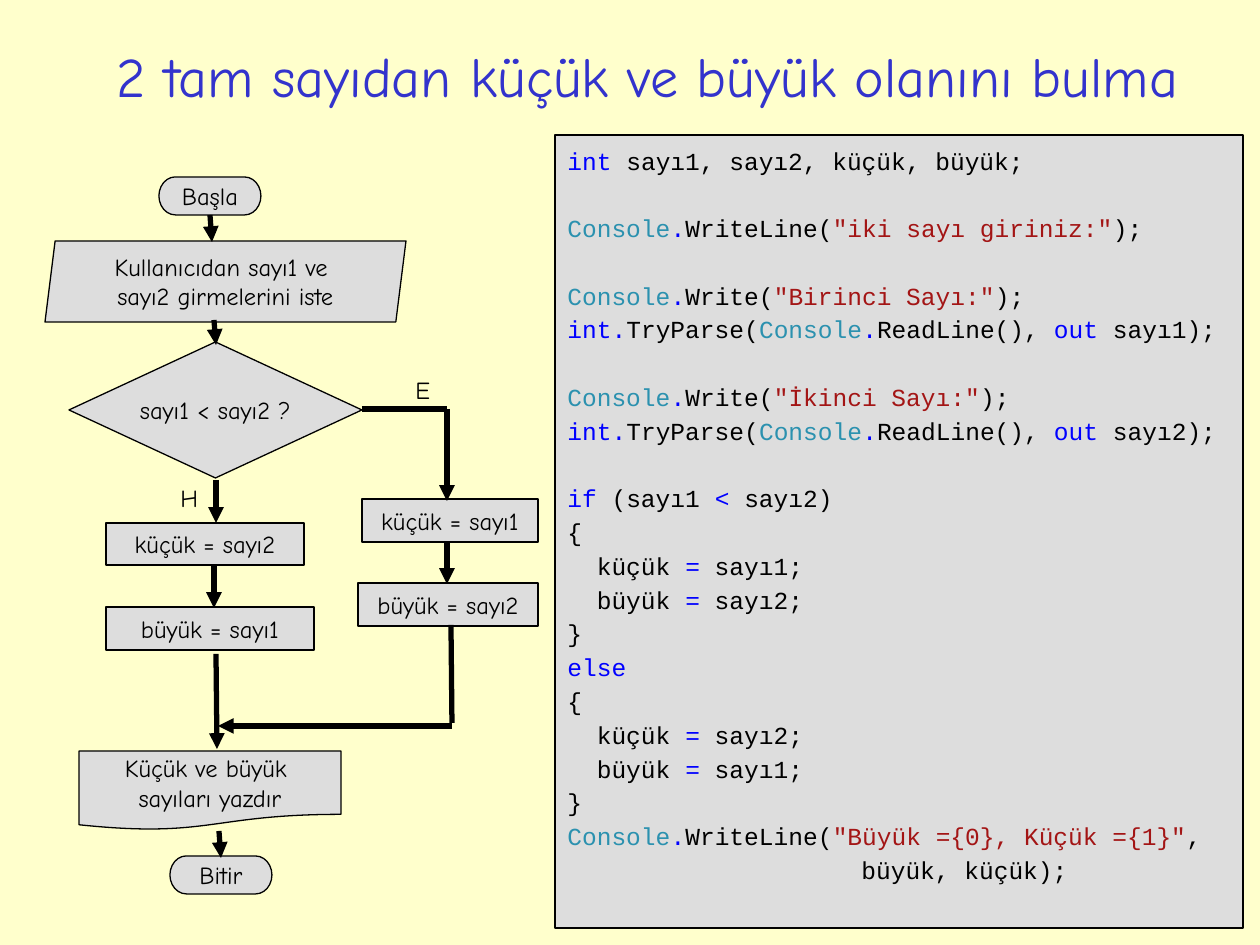
from lxml import etree
from pptx import Presentation
from pptx import util as u
from pptx.dml.color import RGBColor
from pptx.enum import shapes, text
from pptx.oxml.ns import qn

PX = 914400 // 126
COLORS = {"bg": "FFFFCC", "title": "3333CC", "box": "DDDDDD", "black": "000000",
          "keyword": "0000FF", "type": "2B91AF", "string": "A31515"}
KINDS = {"k": "keyword", "t": "type", "s": "string", "p": "black"}
RGB = {name: RGBColor.from_string(value) for name, value in COLORS.items()}
SHAPE = shapes.MSO_SHAPE
FONT = "Comic Neue"


def set_text(sp, lines, align, anchor, size=14, color="black"):
    tf = sp.text_frame
    tf.word_wrap = False
    tf.vertical_anchor = anchor
    tf.text = "\n".join(lines)
    for p in tf.paragraphs:
        p.alignment = align
        p.font.name = FONT
        p.font.size = u.Pt(size)
        p.font.color.rgb = RGB[color]


def add_box(kind, *box):
    sp = s.shapes.add_shape(kind, *[v * PX for v in box])
    sp.shadow.inherit = False
    sp.fill.solid()
    sp.fill.fore_color.rgb = RGB["box"]
    sp.line.color.rgb = RGB["black"]
    sp.line.width = u.Pt(0.75)
    return sp


prs = Presentation()
prs.slide_width = u.Inches(10)
prs.slide_height = u.Inches(7.5)
s = prs.slides.add_slide(prs.slide_layouts[5])
s.background.fill.solid()
s.background.fill.fore_color.rgb = RGB["bg"]

title = s.shapes.title
title.left, title.top, title.width, title.height = [v * PX for v in (35, 37, 1225, 76)]
set_text(title, ["2 tam sayıdan küçük ve büyük olanını bulma"],
         text.PP_ALIGN.CENTER, text.MSO_ANCHOR.MIDDLE, 32, "title")

CODE = [
    (0, 0, ["kint", "p sayı1, sayı2, küçük, büyük;"]),
    (1, 0, ["tConsole", "k.", "pWriteLine(", 's"iki sayı giriniz:"', "p);"]),
    (1, 0, ["tConsole", "k.", "pWrite(", 's"Birinci Sayı:"', "p);"]),
    (0, 0, ["kint.", "pTryParse(", "tConsole", "k.", "pReadLine(), ", "kout", "p sayı1);"]),
    (1, 0, ["tConsole", "k.", "pWrite(", 's"İkinci Sayı:"', "p);"]),
    (0, 0, ["kint.", "pTryParse(", "tConsole", "k.", "pReadLine(), ", "kout", "p sayı2);"]),
    (1, 0, ["kif", "p (sayı1 ", "k<", "p sayı2)"]),
    (0, 0, ["p{"]),
    (0, 2, ["pküçük ", "k=", "p sayı1;"]),
    (0, 2, ["pbüyük ", "k=", "p sayı2;"]),
    (0, 0, ["p}"]),
    (0, 0, ["kelse"]),
    (0, 0, ["p{"]),
    (0, 2, ["pküçük ", "k=", "p sayı2;"]),
    (0, 2, ["pbüyük ", "k=", "p sayı1;"]),
    (0, 0, ["p}"]),
    (0, 0, ["tConsole", "k.", "pWriteLine(", 's"Büyük ={0}, Küçük ={1}"', "p,"]),
    (0, 20, ["pbüyük, küçük);"]),
]
CHAR_WIDTH = u.Pt(8.4)
LINE_HEIGHT = u.Pt(19.3)

code_box = add_box(SHAPE.RECTANGLE, 555, 135, 688, 793)
tf = code_box.text_frame
tf.word_wrap = True
tf.vertical_anchor = text.MSO_ANCHOR.TOP
for i, (gap, indent, tokens) in enumerate(CODE):
    p = tf.add_paragraph() if i else tf.paragraphs[0]
    p.alignment = text.PP_ALIGN.LEFT
    p.line_spacing = 1.15
    p.space_before = gap * LINE_HEIGHT
    p.font.name = "Courier New"
    p.font.size = u.Pt(14)
    if indent:
        p._p.get_or_add_pPr().set("marL", str(indent * CHAR_WIDTH))
    for token in tokens:
        r = p.add_run()
        r.text = token[1:]
        r.font.color.rgb = RGB[KINDS[token[0]]]

STEPS = [
    (SHAPE.FLOWCHART_TERMINATOR, (159, 177, 102, 38), ["Başla"]),
    (SHAPE.PARALLELOGRAM, (45, 241, 361, 81), ["Kullanıcıdan sayı1 ve ", "sayı2 girmelerini iste"]),
    (SHAPE.FLOWCHART_DECISION, (69, 342, 293, 136), ["sayı1 < sayı2 ?"]),
    (SHAPE.RECTANGLE, (362, 499, 176, 43), ["küçük = sayı1"]),
    (SHAPE.RECTANGLE, (358, 583, 180, 43), ["büyük = sayı2"]),
    (SHAPE.RECTANGLE, (106, 523, 198, 42), ["küçük = sayı2"]),
    (SHAPE.RECTANGLE, (106, 607, 208, 43), ["büyük = sayı1"]),
    (SHAPE.FLOWCHART_DOCUMENT, (79, 751, 262, 79), ["Küçük ve büyük ", "sayıları yazdır"]),
    (SHAPE.FLOWCHART_TERMINATOR, (170, 856, 102, 38), ["Bitir"]),
]
for kind, box, lines in STEPS:
    sp = add_box(kind, *box)
    if kind == SHAPE.PARALLELOGRAM:
        sp.adjustments[0] = 0.125
    set_text(sp, lines, text.PP_ALIGN.CENTER, text.MSO_ANCHOR.MIDDLE)

for label, box in (("E", (403, 369, 40, 43)), ("H", (168, 477, 44, 43))):
    sp = s.shapes.add_textbox(*[v * PX for v in box])
    set_text(sp, [label], text.PP_ALIGN.LEFT, text.MSO_ANCHOR.TOP)

FLOWS = [
    (210, 215, 212, 242, True),
    (214, 320, 216, 345, True),
    (216, 480, 216, 523, True),
    (214, 565, 214, 608, True),
    (216, 654, 217, 749, True),
    (219, 831, 221, 858, True),
    (362, 409, 447, 409, False),
    (447, 409, 447, 501, True),
    (447, 542, 447, 584, True),
    (451, 625, 452, 723, False),
    (452, 726, 218, 726, True),
]
for x1, y1, x2, y2, arrow in FLOWS:
    line = s.shapes.add_connector(shapes.MSO_CONNECTOR.STRAIGHT, x1 * PX, y1 * PX, x2 * PX, y2 * PX)
    line.line.color.rgb = RGB["black"]
    line.line.width = u.Pt(3)
    if arrow:
        etree.SubElement(line.line._get_or_add_ln(), qn("a:tailEnd"), type="triangle")
    etree.SubElement(line._element.spPr, qn("a:effectLst"))

prs.save("out.pptx")
